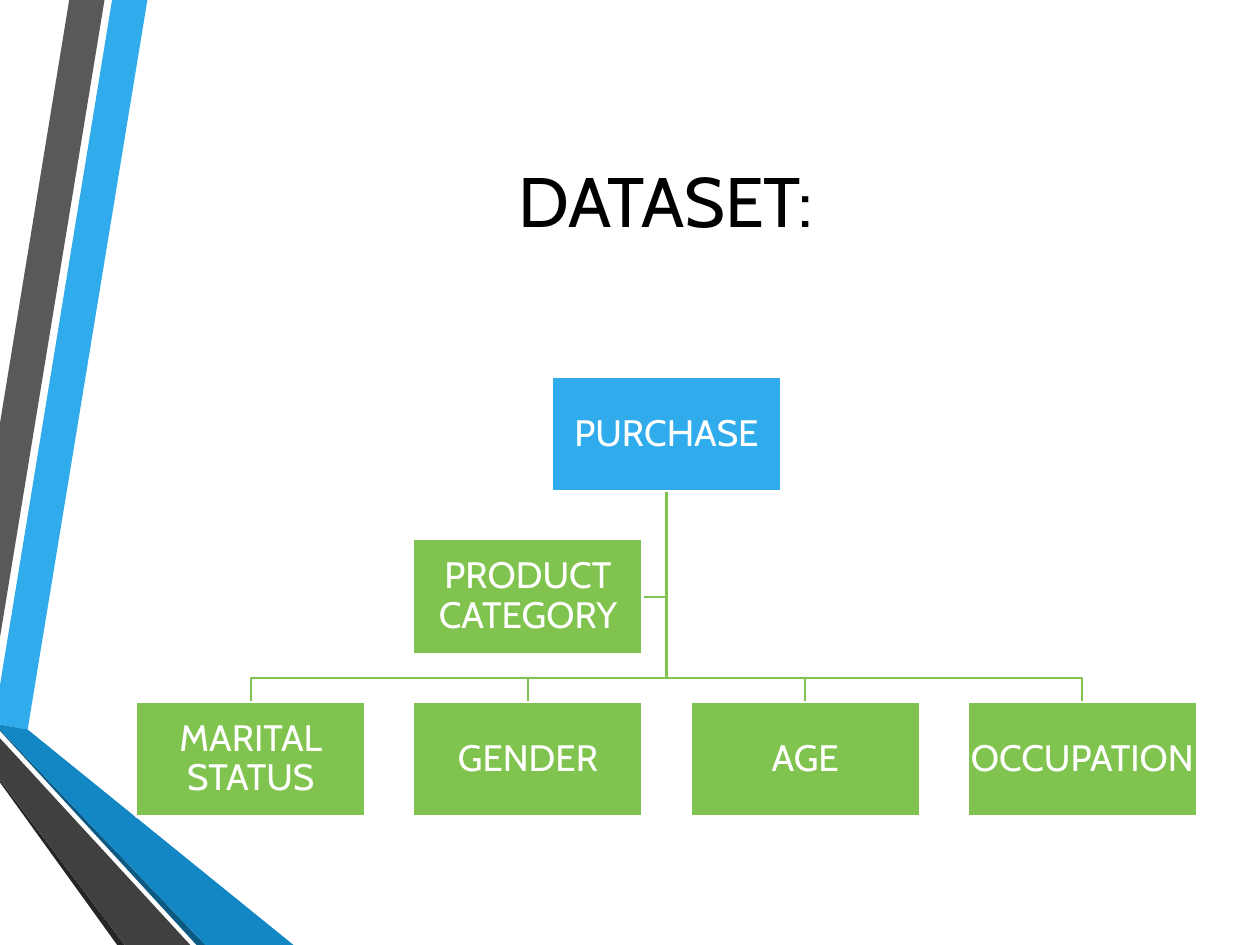
import pptx
import pptx.dml.color
import pptx.enum.text
import pptx.util

Inches = pptx.util.Inches
RGBColor = pptx.dml.color.RGBColor

BLUE = RGBColor(0x30, 0xAC, 0xEC)
MID_BLUE = RGBColor(0x12, 0x87, 0xC3)
DEEP_BLUE = RGBColor(0x0C, 0x5A, 0x82)
GREY = RGBColor(0x59, 0x59, 0x59)
DARK_GREY = RGBColor(0x40, 0x40, 0x40)
CHARCOAL = RGBColor(0x26, 0x26, 0x26)
GREEN = RGBColor(0x80, 0xC3, 0x4F)
WHITE = RGBColor(0xFF, 0xFF, 0xFF)
BLACK = RGBColor(0, 0, 0)
FONT = "Cabin"
LINE_WIDTH = pptx.util.Pt(1.25)

RIBBONS = [
    (BLUE, [(0, 5.44), (0, 5.75), (0.22, 5.79), (1.17, 0), (0.89, 0)]),
    (GREY, [(0.83, 0), (0.55, 0), (0, 3.36), (0, 5.06)]),
    (CHARCOAL, [(0, 6.19), (0, 6.21), (0.93, 7.5), (0.99, 7.5)]),
    (DEEP_BLUE, [(0, 5.79), (0, 5.8), (1.56, 7.5), (1.63, 7.5)]),
    (MID_BLUE, [(0, 5.79), (1.63, 7.5), (2.33, 7.5), (0.22, 5.79), (0, 5.75)]),
    (DARK_GREY, [(0, 6.19), (0.99, 7.5), (1.51, 7.5), (0, 5.86)]),
]


def write_text(shape, text, size, color, margin=None, spacing=None):
    """Fill a shape with one centred paragraph."""
    frame = shape.text_frame
    frame.word_wrap = True
    frame.vertical_anchor = pptx.enum.text.MSO_ANCHOR.MIDDLE
    if margin is not None:
        frame.margin_left = frame.margin_right = Inches(margin)
        frame.margin_top = frame.margin_bottom = Inches(margin)
    paragraph = frame.paragraphs[0]
    paragraph.alignment = pptx.enum.text.PP_ALIGN.CENTER
    if spacing is not None:
        paragraph.line_spacing = spacing
    run = paragraph.add_run()
    run.text = text
    run.font.name = FONT
    run.font.size = pptx.util.Pt(size)
    run.font.color.rgb = color


def paint(shape, fill=None, line=None):
    shape.shadow.inherit = False
    for part, color in ((shape.fill, fill), (shape.line.fill, line)):
        if color is None:
            part.background()
        else:
            part.solid()
            part.fore_color.rgb = color
    if line is not None:
        shape.line.width = LINE_WIDTH


def add_outline(slide, points, close=True, **colors):
    corners = [(Inches(x), Inches(y)) for x, y in points]
    builder = slide.shapes.build_freeform(*corners[0], scale=1.0)
    builder.add_line_segments(corners[1:], close=close)
    paint(builder.convert_to_shape(), **colors)


def add_ribbons(slide, left, top):
    for color, points in RIBBONS:
        add_outline(slide, [(left + x, top + y) for x, y in points], fill=color)


def add_title(slide, text, left, top, width, height):
    title = slide.shapes.title
    title.left, title.top = Inches(left), Inches(top)
    title.width, title.height = Inches(width), Inches(height)
    write_text(title, text, size=40, color=BLACK)


def add_hierarchy(slide, root, assistant, children, left, top, width, height):
    """Root on top, assistant left of the stem, children along the bottom."""
    box_width, box_height = 1.82, 0.91
    step = (width - box_width) / (len(children) - 1)
    center = left + width / 2
    stem_top = top + box_height
    child_top = top + height - box_height
    bus = child_top - 0.19
    assistant_left, assistant_top = left + step, top + 1.29
    assistant_middle = assistant_top + box_height / 2
    child_lefts = [left + i * step for i in range(len(children))]

    # Connecting lines
    routes = [[(center, assistant_middle),
               (assistant_left + box_width, assistant_middle)]]
    for child_left in child_lefts:
        middle = child_left + box_width / 2
        routes.append([(center, bus), (middle, bus), (middle, child_top)])
    for route in routes:
        add_outline(slide, [(center, stem_top)] + route, close=False, line=GREEN)

    # Boxes
    boxes = [(root, center - box_width / 2, top, BLUE)]
    boxes += [(child, x, child_top, GREEN)
              for child, x in zip(children, child_lefts)]
    boxes.append((assistant, assistant_left, assistant_top, GREEN))
    for label, x, y, color in boxes:
        box = slide.shapes.add_shape(
            pptx.enum.shapes.MSO_SHAPE.RECTANGLE,
            Inches(x), Inches(y), Inches(box_width), Inches(box_height))
        paint(box, fill=color, line=WHITE)
        write_text(box, label, size=21, color=WHITE, margin=0.01, spacing=0.9)


deck = pptx.Presentation()
deck.slide_width, deck.slide_height = Inches(10), Inches(7.5)
dataset = deck.slides.add_slide(deck.slide_layouts[5])

add_ribbons(dataset, 0, 0)
add_title(dataset, "DATASET:", 1.07, 0.5, 8.43, 2.17)
add_hierarchy(dataset, "PURCHASE", "PRODUCT CATEGORY",
              ["MARITAL STATUS", "GENDER", "AGE", "OCCUPATION"],
              1.08, 2.99, 8.42, 3.49)

deck.save("out.pptx")
